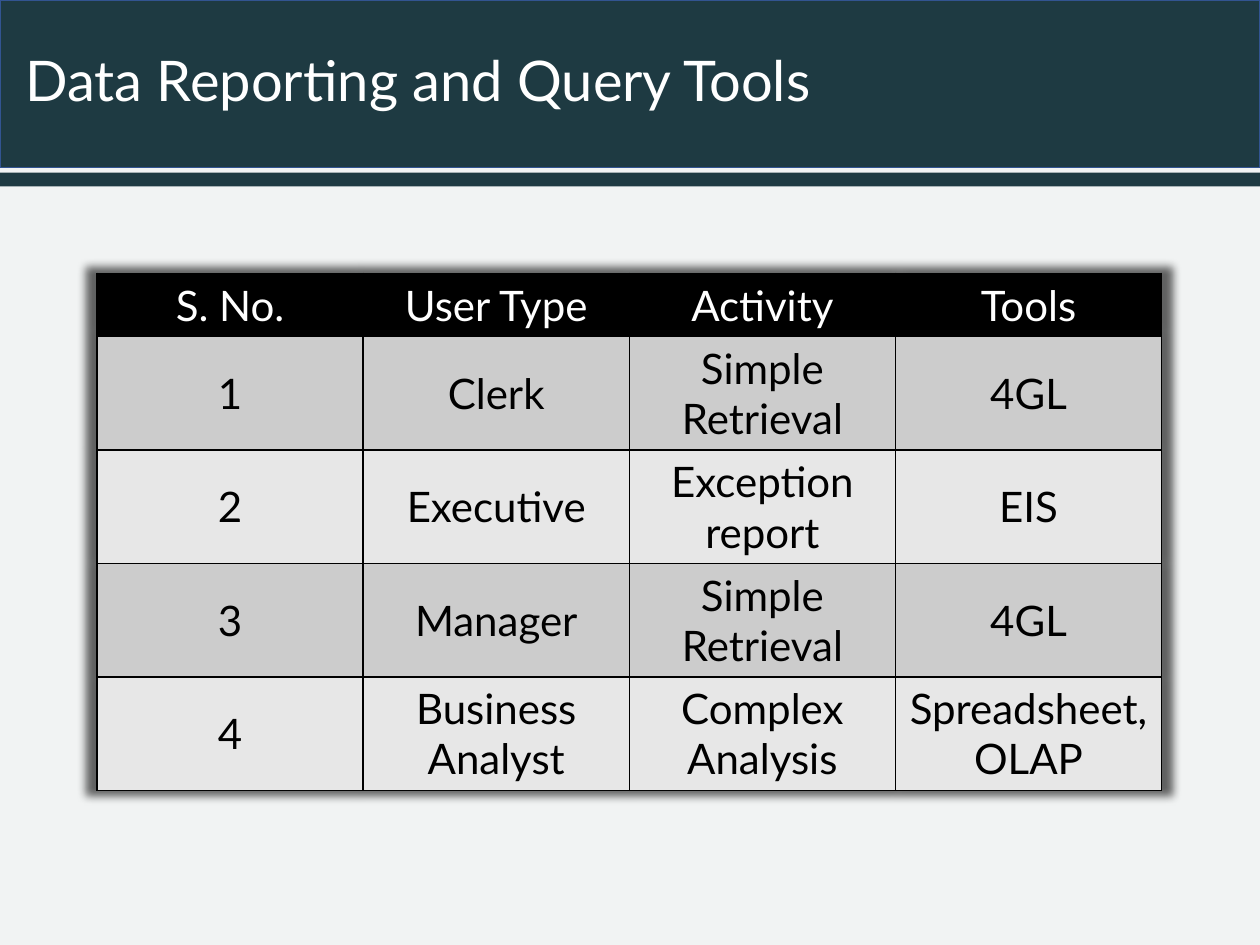
from lxml import etree
from pptx import Presentation
from pptx.dml.color import RGBColor
from pptx.enum.shapes import MSO_SHAPE
from pptx.enum.text import MSO_ANCHOR, PP_ALIGN
from pptx.oxml import parse_xml
from pptx.oxml.ns import nsdecls, qn
from pptx.util import Inches, Pt

RECT = MSO_SHAPE.RECTANGLE
MIDDLE = MSO_ANCHOR.MIDDLE
LEFT, CENTER = PP_ALIGN.LEFT, PP_ALIGN.CENTER
TITLE_ONLY = 5

COLORS = {
    "band": "1E3A42",
    "band_line": "325491",
    "background": "F1F3F3",
    "white": "FFFFFF",
    "black": "000000",
    "row_dark": "CCCCCC",
    "row_light": "E7E7E7",
}

USERS = [
    ["S. No.", "User Type", "Activity", "Tools"],
    ["1", "Clerk", "Simple Retrieval", "4GL"],
    ["2", "Executive", "Exception report", "EIS"],
    ["3", "Manager", "Simple Retrieval", "4GL"],
    ["4", "Business Analyst", "Complex Analysis", "Spreadsheet, OLAP"],
]


def rgb(name):
    return RGBColor.from_string(COLORS[name])


class SlideBuilder:
    font = "Lato"

    def __init__(self, slide):
        self.slide = slide
        fill = slide.background.fill
        fill.solid()
        fill.fore_color.rgb = rgb("background")

    def band(self, top, height, line=None):
        sp = self.slide.shapes.add_shape(
            RECT, 0, Inches(top), Inches(10), Inches(height))
        sp.shadow.inherit = False
        sp.fill.solid()
        sp.fill.fore_color.rgb = rgb("band")
        if line:
            sp.line.color.rgb = rgb(line)
            sp.line.width = Pt(1)
        else:
            sp.line.fill.background()

    def add_text(self, tf, text, size, color, align):
        p = tf.paragraphs[0]
        p.alignment = align
        r = p.add_run()
        r.text = text
        r.font.name = self.font
        r.font.size = Pt(size)
        r.font.color.rgb = rgb(color)
        return p

    def title(self, text, left, top, width, height):
        sp = self.slide.shapes.title
        sp.left, sp.top = Inches(left), Inches(top)
        sp.width, sp.height = Inches(width), Inches(height)
        sp.text_frame.vertical_anchor = MIDDLE
        p = self.add_text(sp.text_frame, text, 32, "white", LEFT)
        p.line_spacing = 0.9
        # Bring the title in front of the bands.
        sp.element.getparent().append(sp.element)

    def table(self, rows, left, top, width, heights):
        frame = self.slide.shapes.add_table(
            len(rows), len(rows[0]), Inches(left), Inches(top),
            Inches(width), Inches(sum(heights)))
        table = frame.table
        self.table_shadow(table)
        for r, (row, height) in enumerate(zip(rows, heights)):
            table.rows[r].height = Inches(height)
            if r == 0:
                fill, color = "black", "white"
            else:
                fill, color = ("row_dark" if r % 2 else "row_light"), "black"
            for c, text in enumerate(row):
                cell = table.cell(r, c)
                cell.vertical_anchor = MIDDLE
                self.add_text(cell.text_frame, text, 24, color, CENTER)
                self.cell_borders(cell)
                cell.fill.solid()
                cell.fill.fore_color.rgb = rgb(fill)

    def cell_borders(self, cell):
        tc_pr = cell._tc.get_or_add_tcPr()
        for side in ("lnL", "lnR", "lnT", "lnB"):
            ln = etree.SubElement(tc_pr, qn(f"a:{side}"), w=str(Pt(1)))
            fill = etree.SubElement(ln, qn("a:solidFill"))
            etree.SubElement(fill, qn("a:srgbClr"), val=COLORS["black"])

    def table_shadow(self, table):
        """Add a soft shadow slightly larger than the table."""
        table._tbl.tblPr.insert(0, parse_xml(
            f'<a:effectLst {nsdecls("a")}>'
            '<a:outerShdw blurRad="63500" sx="102000" sy="102000" '
            'algn="ctr" rotWithShape="0">'
            f'<a:srgbClr val="{COLORS["black"]}"><a:alpha val="60000"/>'
            '</a:srgbClr></a:outerShdw></a:effectLst>'))


def main():
    prs = Presentation()
    prs.slide_width, prs.slide_height = Inches(10), Inches(7.5)
    s = SlideBuilder(prs.slides.add_slide(prs.slide_layouts[TITLE_ONLY]))
    s.band(0, 1.33, line="band_line")
    s.band(1.37, 0.11)
    s.title("Data Reporting and Query Tools", 0.1, 0, 9.9, 1.33)
    s.table(USERS, 0.77, 2.17, 8.45, [0.5] + [0.9] * 4)
    prs.save("out.pptx")


if __name__ == "__main__":
    main()
